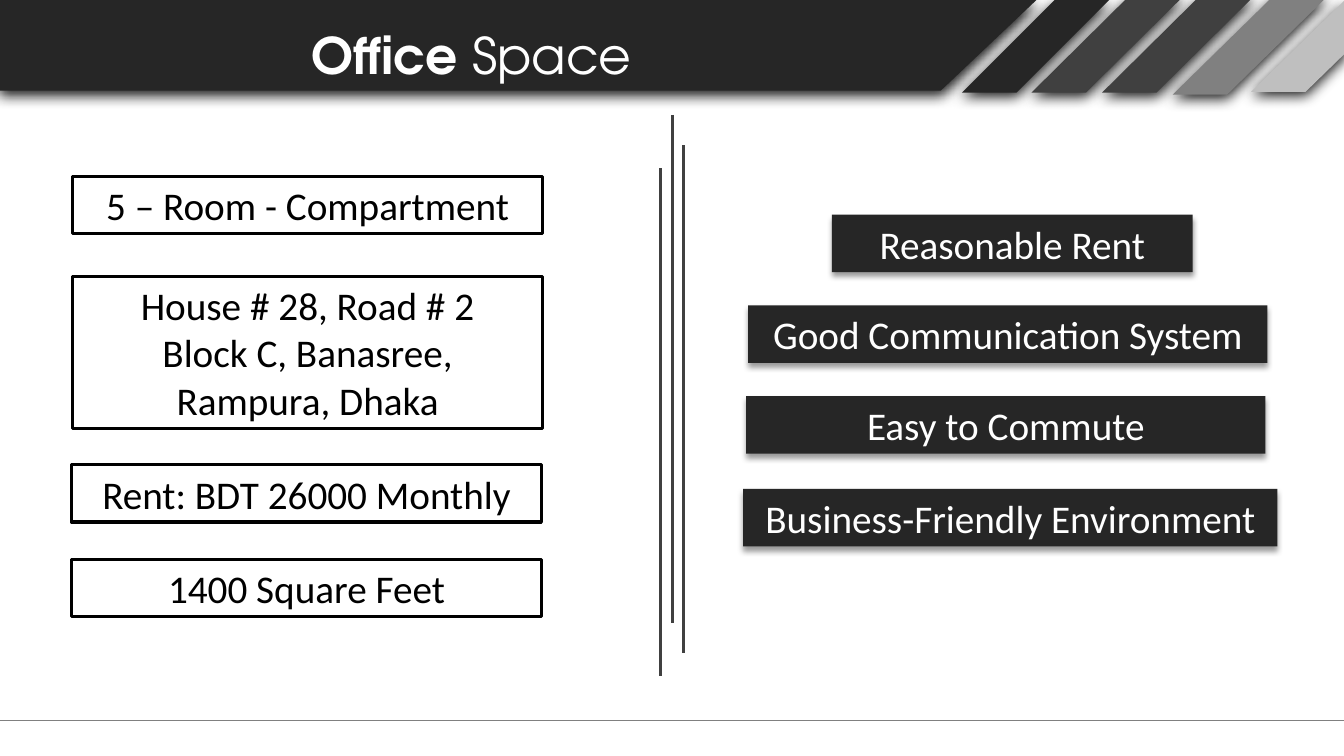
from dataclasses import dataclass

from lxml import etree
from pptx import Presentation
from pptx import util as u
from pptx.dml.color import RGBColor
from pptx.enum import shapes as es, text as et
from pptx.oxml import ns

HUES = {
    "ink": "262626", "slate": "404040", "gray": "808080",
    "pale": "BFBFBF", "white": "FFFFFF", "black": "000000",
}


@dataclass
class Band:
    hue: str
    points: list[tuple[float, float]]


@dataclass
class Rule:
    x1: float
    y1: float
    x2: float
    y2: float
    hue: str
    width: float


@dataclass
class Card:
    text: str
    left: float
    top: float
    width: float
    height: float = 0.57
    dark: bool = False


def stripe(hue: str, high: float, low: float, top: float, base: float) -> Band:
    """Slanted stripe from its left corners at the top and base."""
    wide = 0.54
    return Band(hue, [(high, top), (high + wide, top), (low + wide, base), (low, base)])


BANDS = [
    Band("ink", [(0, 0), (10.28, 0), (9.33, 0.9), (0, 0.9)]),
    stripe("ink", 10.46, 9.54, 0, 0.92),
    stripe("slate", 11.2, 10.23, -0.04, 0.92),
    stripe("slate", 11.9, 10.93, -0.04, 0.92),
    stripe("gray", 12.63, 11.63, -0.04, 0.94),
    Band("pale", [(13.35, -0.01), (13.35, 0.52), (12.95, 0.91), (12.41, 0.91)]),
]
RULES = [Rule(0, 7.15, 13.33, 7.15, "gray", 0.75)] + [
    Rule(x, y, x, y + 5.04, "slate", 2.25)
    for x, y in ((6.67, 1.14), (6.78, 1.44), (6.55, 1.67))
]
CARDS = [
    Card("5 – Room - Compartment", 0.72, 1.75, 4.66),
    Card("House # 28, Road # 2\nBlock C, Banasree,\nRampura, Dhaka", 0.72, 2.74, 4.66, 1.51),
    Card("Rent: BDT 26000 Monthly", 0.71, 4.61, 4.66),
    Card("1400 Square Feet", 0.71, 5.55, 4.66),
    Card("Reasonable Rent", 8.25, 2.13, 3.58, dark=True),
    Card("Good Communication System", 7.42, 3.03, 5.15, dark=True),
    Card("Easy to Commute", 7.4, 3.93, 5.15, dark=True),
    Card("Business-Friendly Environment", 7.37, 4.85, 5.3, dark=True),
]


def hue(name: str) -> RGBColor:
    return RGBColor.from_string(HUES[name])


def place(shape, left: float, top: float, width: float, height: float) -> None:
    shape.left, shape.top = u.Inches(left), u.Inches(top)
    shape.width, shape.height = u.Inches(width), u.Inches(height)


def shade(shape, alpha: int, blur: float) -> None:
    """Cast a soft shadow straight down."""
    shape.shadow.inherit = False
    fx = shape._element.spPr.find(ns.qn("a:effectLst"))
    cast = etree.SubElement(fx, ns.qn("a:outerShdw"), blurRad=str(u.Pt(blur)),
                            dist=str(u.Pt(3)), dir="5400000", algn="t", rotWithShape="0")
    tone = etree.SubElement(cast, ns.qn("a:srgbClr"), val=HUES["black"])
    etree.SubElement(tone, ns.qn("a:alpha"), val=str(alpha * 1000))


def add_band(slide, band: Band) -> None:
    points = [(u.Inches(x), u.Inches(y)) for x, y in band.points]
    pen = slide.shapes.build_freeform(*points[0])
    pen.add_line_segments(points[1:], close=True)
    shape = pen.convert_to_shape()
    shape.fill.solid()
    shape.fill.fore_color.rgb = hue(band.hue)
    shape.line.fill.background()
    shade(shape, 90, 10)


def add_rule(slide, rule: Rule) -> None:
    ends = [u.Inches(v) for v in (rule.x1, rule.y1, rule.x2, rule.y2)]
    line = slide.shapes.add_connector(es.MSO_CONNECTOR.STRAIGHT, *ends)
    line.line.color.rgb = hue(rule.hue)
    line.line.width = u.Pt(rule.width)
    etree.SubElement(line._element.spPr, ns.qn("a:effectLst"))


def add_card(slide, card: Card) -> None:
    shape = slide.shapes.add_shape(es.MSO_SHAPE.RECTANGLE, 0, 0, 0, 0)
    place(shape, card.left, card.top, card.width, card.height)
    if card.dark:
        shape.fill.solid()
        shape.fill.fore_color.rgb = hue("ink")
        shape.line.fill.background()
        shade(shape, 40, 4)
    else:
        shape.fill.background()
        shape.line.color.rgb = hue("black")
        shape.line.width = u.Pt(2.25)
        shape.shadow.inherit = False
    frame = shape.text_frame
    frame.text = card.text
    frame.word_wrap = True
    frame.auto_size = et.MSO_AUTO_SIZE.SHAPE_TO_FIT_TEXT
    for para in frame.paragraphs:
        para.alignment = et.PP_ALIGN.CENTER
        for run in para.runs:
            run.font.name, run.font.size = "Calibri", u.Pt(28)
            run.font.color.rgb = hue("white" if card.dark else "black")


def set_title(slide) -> None:
    title = slide.shapes.title
    place(title, 0, 0.19, 9.35, 0.71)
    frame = title.text_frame
    frame.auto_size = et.MSO_AUTO_SIZE.NONE
    frame.vertical_anchor = et.MSO_ANCHOR.TOP
    para = frame.paragraphs[0]
    para.text = "Office "
    para.alignment = et.PP_ALIGN.CENTER
    para.add_run().text = "Space"
    for run, bold in zip(para.runs, (True, False)):
        run.font.name, run.font.size = "TeX Gyre Adventor", u.Pt(36)
        run.font.bold = bold
        run.font.color.rgb = hue("white")
    # Bring the title in front of the banner
    title._element.getparent().append(title._element)


def main() -> None:
    deck = Presentation()
    deck.slide_width, deck.slide_height = u.Inches(13.33), u.Inches(7.5)
    slide = deck.slides.add_slide(deck.slide_layouts[5])
    # Banner and title
    for band in BANDS:
        add_band(slide, band)
    set_title(slide)
    # Footer rule and centre divider
    for rule in RULES:
        add_rule(slide, rule)
    # Facts on the left, benefits on the right
    for card in CARDS:
        add_card(slide, card)
    deck.save("out.pptx")


if __name__ == "__main__":
    main()
